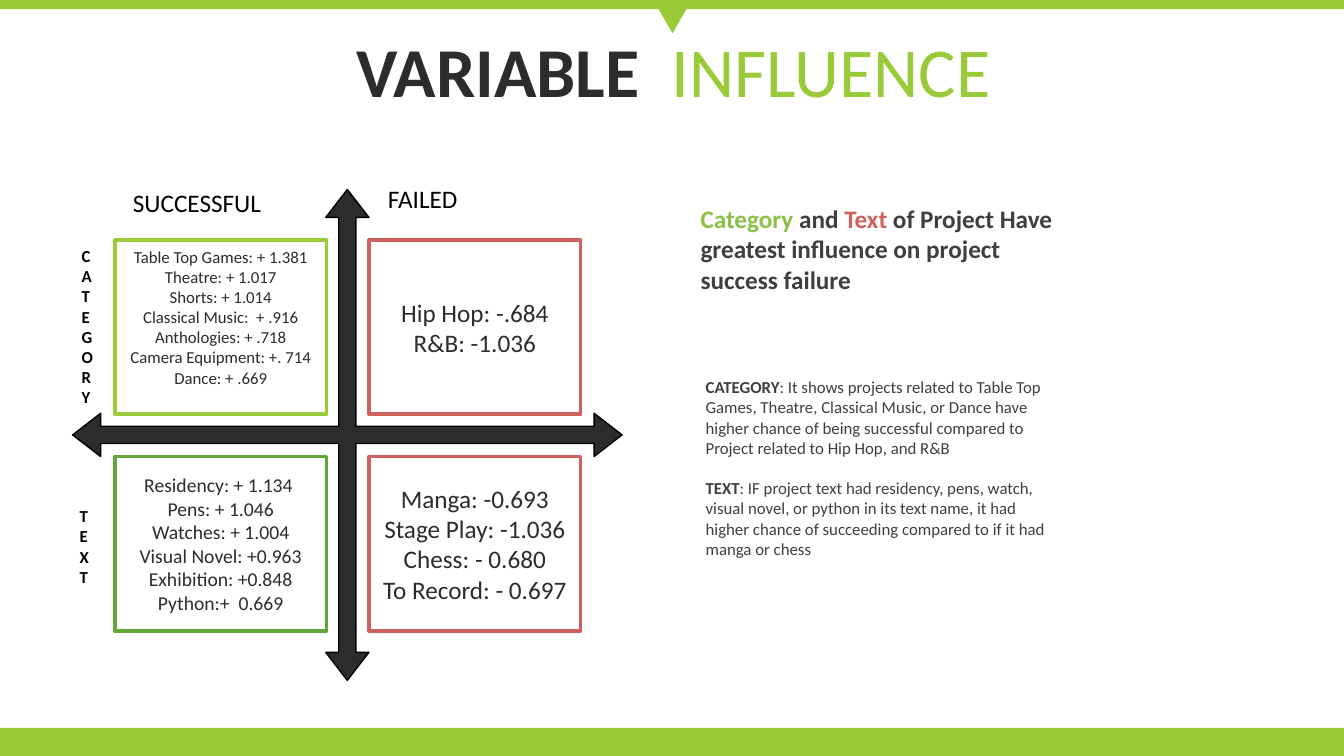
from pptx import Presentation
from pptx.dml.color import RGBColor
from pptx.enum.shapes import MSO_SHAPE
from pptx.enum.text import MSO_ANCHOR, PP_ALIGN
from pptx.util import Emu, Pt

RECTANGLE = MSO_SHAPE.RECTANGLE
TRIANGLE = MSO_SHAPE.ISOSCELES_TRIANGLE
QUAD_ARROW = MSO_SHAPE.QUAD_ARROW
TOP, MIDDLE = MSO_ANCHOR.TOP, MSO_ANCHOR.MIDDLE
LEFT, CENTER = PP_ALIGN.LEFT, PP_ALIGN.CENTER

EMU_PER_PX = 9144  # 100 px to the inch
PAGE_WIDTH, PAGE_HEIGHT = 1333, 750
FONT = "Calibri"
LIME, GREEN, SOFT_GREEN, RED = "99CB38", "63A537", "8BC145", "CF625D"
DARK, GRAY, BLACK, WHITE = "2C2C2C", "3F3F3F", "000000", "FFFFFF"

COLUMN_STEP, ROW_STEP = 252, 215
CELL_WIDTH, CELL_HEIGHT = 210, 173

# column, row, border colour, text size, extra bottom inset, lines
QUADRANTS = [
    (1, 0, RED, 18, 0, ["Hip Hop: -.684", "R&B: -1.036"]),
    (0, 0, LIME, 12, 20, [
        "Table Top Games: + 1.381", "Theatre: + 1.017", "Shorts: + 1.014",
        "Classical Music:  + .916", "Anthologies: + .718",
        "Camera Equipment: +. 714", "Dance: + .669"]),
    (0, 1, GREEN, 14, 0, [
        "Residency: + 1.134 ", "Pens: + 1.046", "Watches: + 1.004",
        "Visual Novel: +0.963", "Exhibition: +0.848", "Python:+  0.669"]),
    (1, 1, RED, 18, 0, [
        "Manga: -0.693", "Stage Play: -1.036", "Chess: - 0.680",
        "To Record: - 0.697"]),
]

HEADLINE = [
    ("Category ", SOFT_GREEN, True),
    ("and ", GRAY, True),
    ("Text", RED, True),
    (" of Project Have greatest influence on project success failure", GRAY, True),
]
EXPLANATIONS = [
    [("CATEGORY", GRAY, True),
     (": It shows projects related to Table Top Games, Theatre, Classical Music, "
      "or Dance have higher chance of being successful compared to Project "
      "related to Hip Hop, and R&B", GRAY, False)],
    [("TEXT", GRAY, True),
     (": IF project text had residency, pens, watch, visual novel, or python in "
      "its text name, it had higher chance of succeeding compared to if it had "
      "manga or chess", GRAY, False)],
]


def px(length):
    return Emu(length * EMU_PER_PX)


def color(hex_string):
    return RGBColor.from_string(hex_string)


def add_shape(page, kind, box, fill, line=None, line_width=1):
    shape = page.shapes.add_shape(kind, *map(px, box))
    shape.shadow.inherit = False
    shape.fill.solid()
    shape.fill.fore_color.rgb = color(fill)
    if line:
        shape.line.color.rgb = color(line)
        shape.line.width = Pt(line_width)
    else:
        shape.line.fill.background()
    return shape


def write(shape, paragraphs, size, align=LEFT, anchor=TOP, insets=(10, 5, 10, 5),
          line_spacing=None, gap=0):
    """Fill a shape with paragraphs, each a list of (text, colour, bold) spans."""
    frame = shape.text_frame
    frame.word_wrap = True
    frame.vertical_anchor = anchor
    (frame.margin_left, frame.margin_top,
     frame.margin_right, frame.margin_bottom) = map(px, insets)
    for index, spans in enumerate(paragraphs):
        para = frame.add_paragraph() if index else frame.paragraphs[0]
        para.alignment = align
        para.font.name = FONT
        para.font.size = Pt(size)
        if line_spacing:
            para.line_spacing = line_spacing
        if index and gap:
            para.space_before = Pt(gap)
        for text, text_color, bold in spans:
            span = para.add_run()
            span.text = text
            span.font.color.rgb = color(text_color)
            span.font.bold = bold


def add_text(page, box, paragraphs, size, **layout):
    write(page.shapes.add_textbox(*map(px, box)), paragraphs, size, **layout)


def add_frame(page, left, top, width, height):
    """Draw the bars at the page's edges and the notch at its top."""
    add_shape(page, RECTANGLE, (left, top + height - 28, width, 28), LIME)
    add_shape(page, RECTANGLE, (left, top, width, 9), LIME)
    notch = add_shape(page, TRIANGLE, (left + width // 2 - 18, top, 38, 33), LIME)
    notch.rotation = 180


def add_title(page, box):
    spans = [("VARIABLE ", DARK, True), (" INFLUENCE", LIME, False)]
    add_text(page, box, [spans], 50, align=CENTER, anchor=MIDDLE, line_spacing=0.8)


def add_matrix(page, left, top, width, height):
    """Draw the crossed arrows, the four quadrants and their labels."""
    arrows = add_shape(page, QUAD_ARROW, (left, top, width, height), DARK, BLACK)
    for index, value in enumerate((0.035, 0.044, 0.057)):
        arrows.adjustments[index] = value

    for column, row, border, size, lift, lines in QUADRANTS:
        box = (left + 42 + column * COLUMN_STEP, top + 50 + row * ROW_STEP,
               CELL_WIDTH, CELL_HEIGHT)
        cell = add_shape(page, RECTANGLE, box, WHITE, border, 2.5)
        write(cell, [[(line, DARK, False)] for line in lines], size,
              align=CENTER, anchor=MIDDLE, insets=(10, 5, 10, 5 + lift))

    # Boxes one letter wide stack each row label vertically.
    for label, x, y, label_height in (("CATEGORY", 9, 51, 172), ("TEXT", 7, 309, 91)):
        add_text(page, (left + x, top + y, 12, label_height),
                 [[(label, BLACK, True)]], 12, insets=(0, 5, 0, 5))
    for label, x, y in (("SUCCESSFUL", 50, -7), ("FAILED", 303, -11)):
        add_text(page, (left + x, top + y, 186, 40), [[(label, BLACK, False)]], 18)


def add_findings(page, left, top, width, height):
    add_text(page, (left, top, width, 101), [HEADLINE], 18)
    add_text(page, (left + 5, top + 172, width - 28, height - 172),
             EXPLANATIONS, 12, gap=14.6)


def main():
    deck = Presentation()
    deck.slide_width, deck.slide_height = px(PAGE_WIDTH), px(PAGE_HEIGHT)
    page = deck.slides.add_slide(deck.slide_layouts[6])
    add_frame(page, 0, 0, PAGE_WIDTH, PAGE_HEIGHT)
    add_title(page, (35, 37, 1266, 79))
    add_matrix(page, 72, 188, 545, 487)
    add_findings(page, 685, 197, 386, 364)
    deck.save("out.pptx")


if __name__ == "__main__":
    main()
